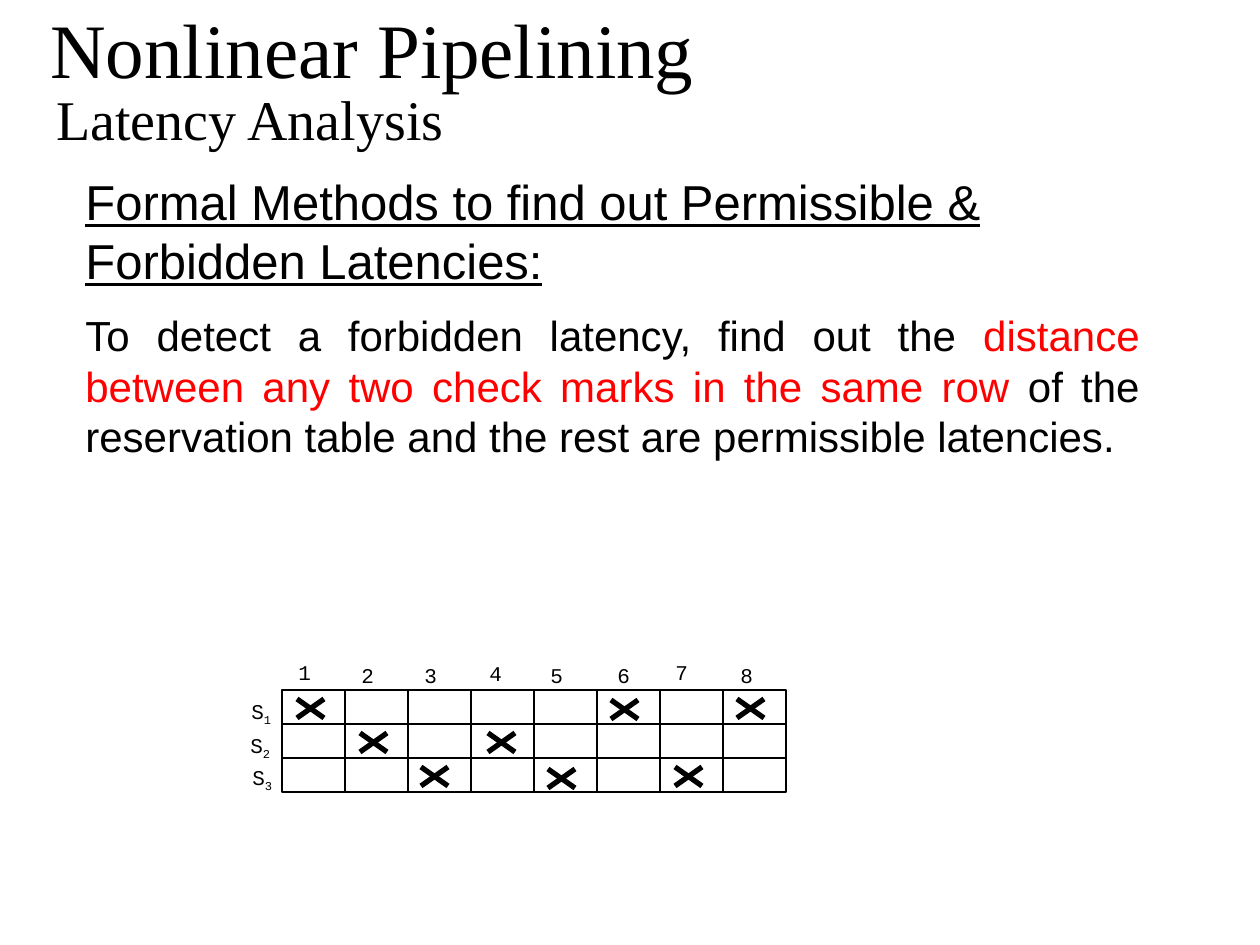
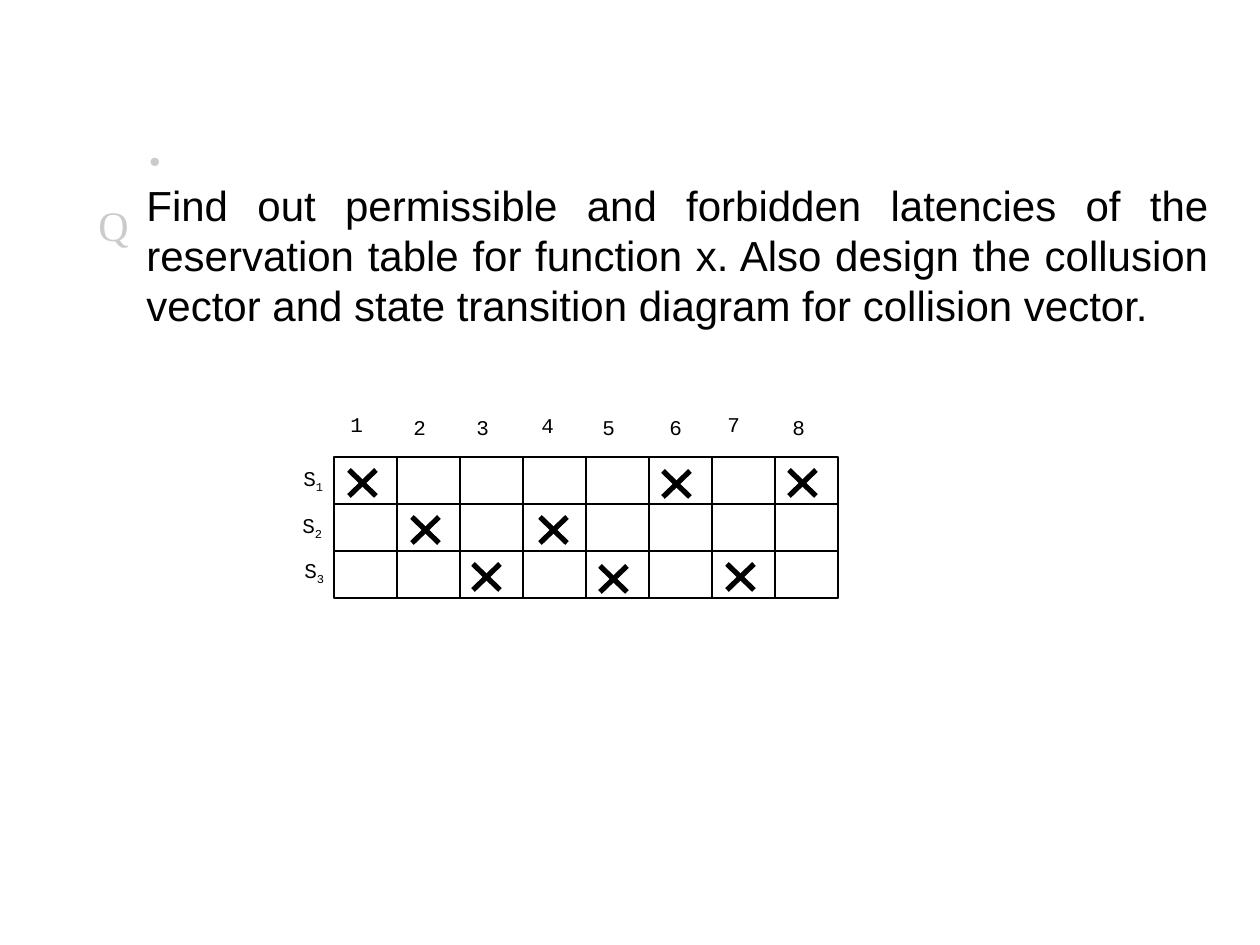
"""Build two slides on latency analysis of a nonlinear pipeline."""
from dataclasses import dataclass

import pptx
import pptx.dml.color
import pptx.enum.shapes
import pptx.enum.text
import pptx.oxml.xmlchemy
import pptx.util

SCALE = 914400 / 126


@dataclass(frozen=True)
class Theme:
    ink: str = "000000"
    accent: str = "FF0000"
    muted: str = "CBCBCB"
    sans: str = "Arial"
    serif: str = "Times New Roman"
    mono: str = "Courier New"
    title: int = 44
    subtitle: int = 32
    heading: int = 28
    body: int = 24
    spacer: int = 40
    label: int = 12
    cell_line: float = 0.75
    mark_line: int = 3


theme = Theme()


def px(length):
    return pptx.util.Emu(round(length * SCALE))


def write(shapes, frame, lines):
    """Add a text box; each line is (spans, face, size, colour)."""
    box = shapes.add_textbox(*map(px, frame))
    box.text_frame.word_wrap = True
    for index, (spans, face, size, colour) in enumerate(lines):
        para = box.text_frame.paragraphs[0] if index == 0 else box.text_frame.add_paragraph()
        para.font.name = face
        para.font.size = pptx.util.Pt(size)
        para.font.color.rgb = pptx.dml.color.RGBColor.from_string(colour)
        for words in spans:
            span = para.add_run()
            span.text = words
    return box


deck = pptx.Presentation()
deck.slide_width, deck.slide_height = px(1260), px(945)
method_page, question_page = [deck.slides.add_slide(deck.slide_layouts[6]) for _ in range(2)]

method = write(method_page.shapes, (73, 165, 1079, 488), [
    (["Formal Methods to find out Permissible & Forbidden Latencies:"],
     theme.sans, theme.heading, theme.ink),
    (["To detect a forbidden latency, find out the ",
      "distance between any two check marks in the same row ",
      "of the reservation table and the rest are permissible latencies."],
     theme.sans, theme.body, theme.ink),
])
heading, explanation = method.text_frame.paragraphs
heading.font.underline = True
explanation.alignment = pptx.enum.text.PP_ALIGN.JUSTIFY
explanation.space_before = pptx.util.Pt(theme.body / 2)
explanation.runs[1].font.color.rgb = pptx.dml.color.RGBColor.from_string(theme.accent)

title = write(method_page.shapes, (38, 0, 1071, 96),
              [(["Nonlinear Pipelining"], theme.serif, theme.title, theme.ink)])
title.text_frame.vertical_anchor = pptx.enum.text.MSO_ANCHOR.MIDDLE
write(method_page.shapes, (44, 78, 728, 81),
      [(["Latency Analysis"], theme.serif, theme.subtitle, theme.ink)])

question = write(question_page.shapes, (134, 89, 1087, 251), [
    (["."], theme.serif, theme.spacer, theme.muted),
    (["Find out permissible and forbidden latencies of the reservation table for function x. "
      "Also design the collusion vector and state transition diagram for collision vector."],
     theme.sans, theme.body, theme.ink),
])
question.text_frame.paragraphs[1].alignment = pptx.enum.text.PP_ALIGN.JUSTIFY

CELL_WIDTH, LABEL_WIDTH, MARK_WIDTH = 63, 53, 27
STAGE_OFFSETS = [(-43, 2), (-44, 2), (-42, 0)]
TIME_OFFSETS = [(4, 0), (67, 3), (130, 3), (195, 1), (256, 3), (323, 3), (381, 0), (446, 3)]
MARKS = [(0, 15, 0), (0, 329, 1), (0, 455, 0), (1, 78, 0), (1, 206, 0),
         (2, 139, 0), (2, 266, 2), (2, 393, 0)]

for page, left, top, cell_height, label_height, time_rise in [
        (method_page, 282, 690, 34, 30, 37), (question_page, 334, 457, 47, 42, 52)]:
    table = page.shapes.add_group_shape().shapes
    for row in range(len(STAGE_OFFSETS)):
        for column in range(len(TIME_OFFSETS)):
            cell = table.add_shape(
                pptx.enum.shapes.MSO_SHAPE.RECTANGLE,
                px(left + column * CELL_WIDTH), px(top + row * cell_height),
                px(CELL_WIDTH), px(cell_height))
            cell.shadow.inherit = False
            cell.fill.background()
            cell.line.color.rgb = pptx.dml.color.RGBColor.from_string(theme.ink)
            cell.line.width = pptx.util.Pt(theme.cell_line)
    for row, (across, down) in enumerate(STAGE_OFFSETS):
        stage = write(table, (left + across, top + row * cell_height + down,
                              LABEL_WIDTH, label_height),
                      [(["S", str(row + 1)], theme.mono, theme.label, theme.ink)])
        subscript = stage.text_frame.paragraphs[0].runs[1]
        subscript._r.get_or_add_rPr().set("baseline", "-25000")
    for column, (across, down) in enumerate(TIME_OFFSETS):
        write(table, (left + across, top - time_rise + down, LABEL_WIDTH, label_height),
              [([str(column + 1)], theme.mono, theme.label, theme.ink)])
    mark_height = round(cell_height * 0.56)
    for row, across, down in MARKS:
        start, end = left + across, left + across + MARK_WIDTH
        mark_top = top + row * cell_height + round(cell_height * 0.27) + down
        for begin_x, end_x in [(start, end), (end, start)]:
            stroke = table.add_connector(
                pptx.enum.shapes.MSO_CONNECTOR.STRAIGHT,
                px(begin_x), px(mark_top), px(end_x), px(mark_top + mark_height))
            stroke.line.color.rgb = pptx.dml.color.RGBColor.from_string(theme.ink)
            stroke.line.width = pptx.util.Pt(theme.mark_line)
            stroke._element.spPr.append(pptx.oxml.xmlchemy.OxmlElement("a:effectLst"))

marker = write(question_page.shapes, (86, 193, 55, 64),
               [(["Q"], theme.serif, theme.body, theme.muted)])
marker.text_frame.word_wrap = False

deck.save("out.pptx")
